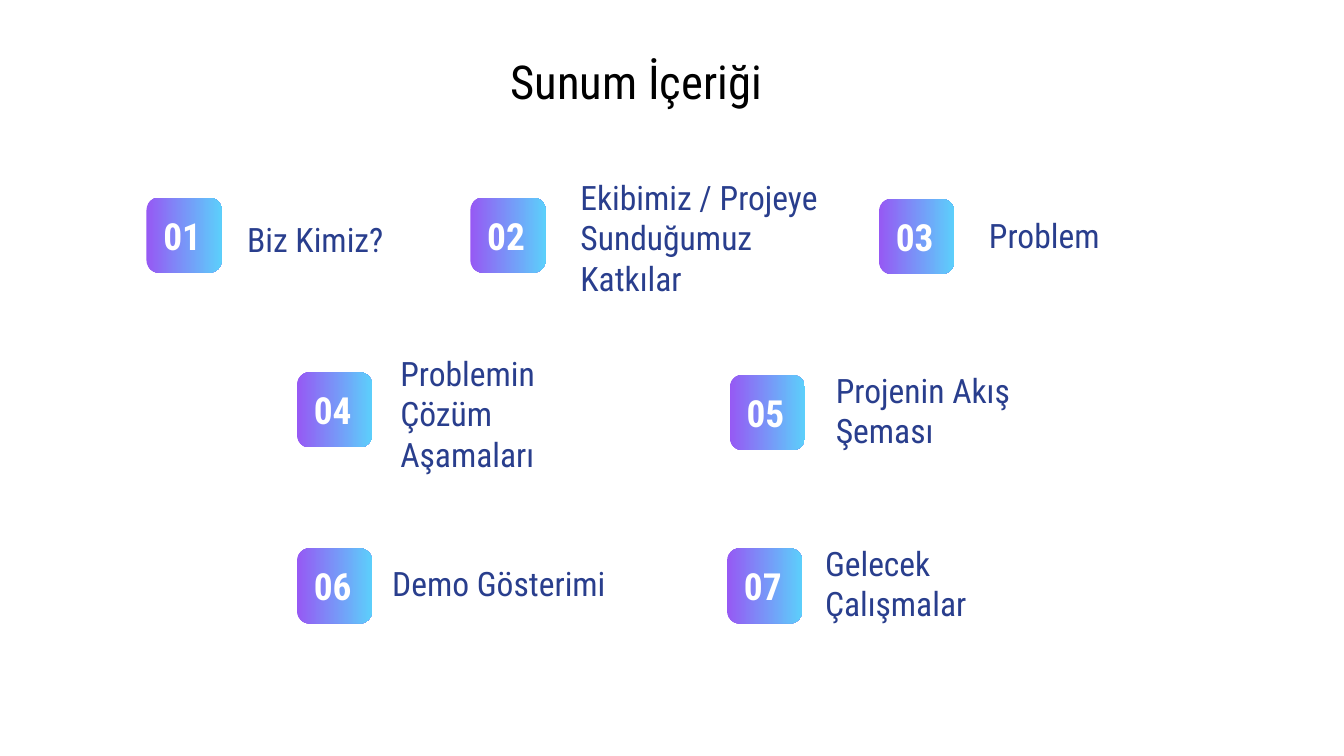
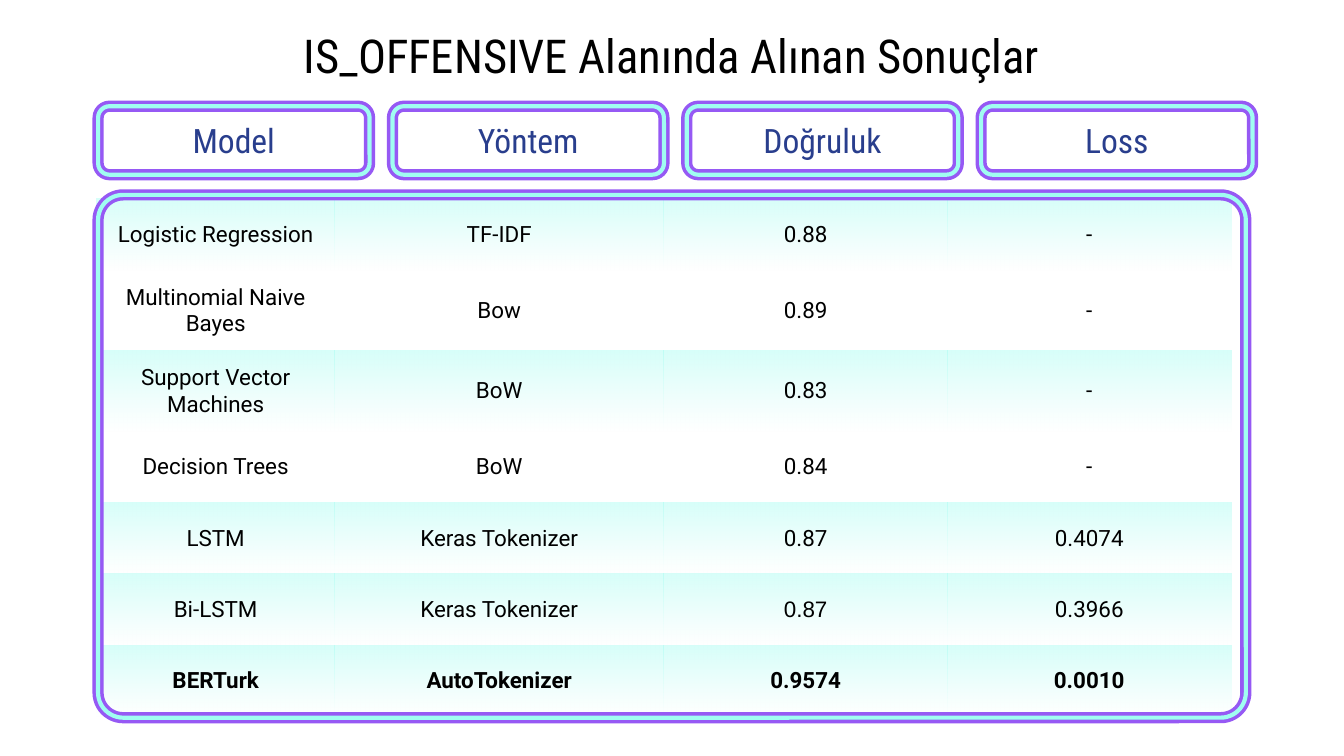
from lxml import etree
from pptx import Presentation
from pptx.dml.color import RGBColor
from pptx.enum import shapes, text
from pptx.oxml import ns
from pptx.util import Inches, Pt

BLACK = RGBColor(0x00, 0x00, 0x00)
WHITE = RGBColor(0xFF, 0xFF, 0xFF)
NAVY = RGBColor(0x29, 0x3E, 0x8D)
VIOLET = RGBColor(0x96, 0x59, 0xF4)
SKY = RGBColor(0x5C, 0xCF, 0xFB)
MINT = RGBColor(0xA0, 0xFD, 0xF1)
HEAD, BODY = "Roboto Condensed", "Roboto"
LEFT, MID = text.PP_ALIGN.LEFT, text.PP_ALIGN.CENTER
NO_GRID = "{2D5ABB26-0587-4C30-8999-92F81FD0307C}"
WIDTH = Inches(10)
HEIGHT = WIDTH * 9 // 16
PAD = 0.1
BADGE = 0.56

# badge left, badge top, label, label box
TOPICS = [
    (1.09, 1.47, "Biz Kimiz?", (1.74, 1.64, 1.92, 0.28)),
    (3.5, 1.47, "Ekibimiz / Projeye Sunduğumuz Katkılar", (4.22, 1.34, 2.21, 0.85)),
    (6.54, 1.48, "Problem", (7.26, 1.61, 1.92, 0.28)),
    (2.21, 2.77, "Problemin Çözüm Aşamaları", (2.88, 2.7, 1.92, 0.75)),
    (5.43, 2.79, "Projenin Akış Şeması", (6.12, 2.72, 1.92, 0.66)),
    (2.21, 4.08, "Demo Gösterimi", (2.82, 4.2, 1.92, 0.28)),
    (5.41, 4.08, "Gelecek Çalışmalar", (6.04, 4.2, 2.08, 0.28)),
]

HEADS = ["Model", "Yöntem", "Doğruluk", "Loss"]
COLS = [1.77, 2.45, 2.11, 2.11]
ROW = 0.53
RESULTS = [
    ("Logistic Regression", "TF-IDF", "0.88", "-"),
    ("Multinomial Naive Bayes", "Bow", "0.89", "-"),
    ("Support Vector Machines", "BoW", "0.83", "-"),
    ("Decision Trees", "BoW", "0.84", "-"),
    ("LSTM", "Keras Tokenizer", "0.87", "0.4074"),
    ("Bi-LSTM", "Keras Tokenizer", "0.87", "0.3966"),
    ("BERTurk", "AutoTokenizer", "0.9574", "0.0010"),
]
PLAIN = (1, 3)  # rows without a tint
BEST = len(RESULTS) - 1
ARIAL = (5, 2)  # the one cell set in Arial


def style(frame, words, size, color, align=LEFT, name=HEAD, bold=False):
    """Write one paragraph into a text frame."""
    para = frame.paragraphs[0]
    para.text = words
    para.alignment = align
    font = para.font
    font.size, font.name, font.bold = Pt(size), name, bold
    font.color.rgb = color


def inset(item):
    """Set the common margins and middle anchor of a frame or cell."""
    item.margin_left = item.margin_right = Inches(PAD)
    item.margin_top = item.margin_bottom = Inches(PAD)
    item.vertical_anchor = text.MSO_ANCHOR.MIDDLE


def label(slide, box, *args):
    frame = slide.shapes.add_textbox(*map(Inches, box)).text_frame
    frame.word_wrap = True
    inset(frame)
    style(frame, *args)


def title(slide, words, left, top):
    label(slide, (left, top, 8.87, 0.56), words, 25, BLACK, MID)


def blend(fill, first, last, angle):
    fill.gradient()
    fill.gradient_angle = angle
    for stop, color in zip(fill.gradient_stops, (first, last)):
        stop.color.rgb = color


def pill(group, box, curve):
    """Add a rounded box without fill, line or shadow."""
    shape = group.add_shape(shapes.MSO_SHAPE.ROUNDED_RECTANGLE, *map(Inches, box))
    shape.adjustments[0] = curve
    shape.shadow.inherit = False
    shape.fill.background()
    shape.line.fill.background()
    shape.text_frame.word_wrap = True
    inset(shape.text_frame)
    return shape


def neon(slide, box, curve):
    """Add a violet outline with a thin mint core; return the core."""
    group = slide.shapes.add_group_shape().shapes
    for color, width in ((VIOLET, 6), (MINT, 2.25)):
        shape = pill(group, box, curve)
        shape.line.color.rgb = color
        shape.line.width = Pt(width)
    return shape


def tint(cell):
    blend(cell.fill, MINT, WHITE, 270)
    for color, alpha in zip(cell._tc.iter(ns.qn("a:srgbClr")), (42, 37)):
        etree.SubElement(color, ns.qn("a:alpha")).set("val", str(alpha * 1000))


def agenda(slide):
    title(slide, "Sunum İçeriği", 0.3, 0.32)
    for num, (left, top, words, box) in enumerate(TOPICS, 1):
        badge = pill(slide.shapes, (left, top, BADGE, BADGE), 0.167)
        blend(badge.fill, VIOLET, SKY, 0)
        style(badge.text_frame, f"{num:02}", 20, WHITE, bold=True)
        label(slide, box, words, 18, NAVY)


def grid(slide):
    count = len(RESULTS)
    box = (0.72, 1.48, sum(COLS), ROW * count)
    table = slide.shapes.add_table(count, len(COLS), *map(Inches, box)).table
    table.first_row = table.horz_banding = False
    table._tbl.find(".//" + ns.qn("a:tableStyleId")).text = NO_GRID
    for col, width in zip(table.columns, COLS):
        col.width = Inches(width)
    for r, row in enumerate(RESULTS):
        table.rows[r].height = Inches(ROW)
        for c, words in enumerate(row):
            cell = table.cell(r, c)
            inset(cell)
            if r in PLAIN:
                cell.fill.background()
            else:
                tint(cell)
            name = "Arial" if (r, c) == ARIAL else BODY
            style(cell.text_frame, words, 12, BLACK, MID, name, r == BEST)


def scores(slide):
    title(slide, "IS_OFFENSIVE Alanında Alınan Sonuçlar", 0.56, 0.13)
    grid(slide)
    neon(slide, (0.73, 1.45, 8.54, 3.89), 0.048)
    for i, words in enumerate(HEADS):
        head = neon(slide, (0.73 + 2.19 * i, 0.79, 2.02, 0.51), 0.167)
        style(head.text_frame, words, 18, NAVY, MID)


def main():
    deck = Presentation()
    deck.slide_width, deck.slide_height = WIDTH, HEIGHT
    for build in (agenda, scores):
        build(deck.slides.add_slide(deck.slide_layouts[6]))
    deck.save("out.pptx")


if __name__ == "__main__":
    main()
